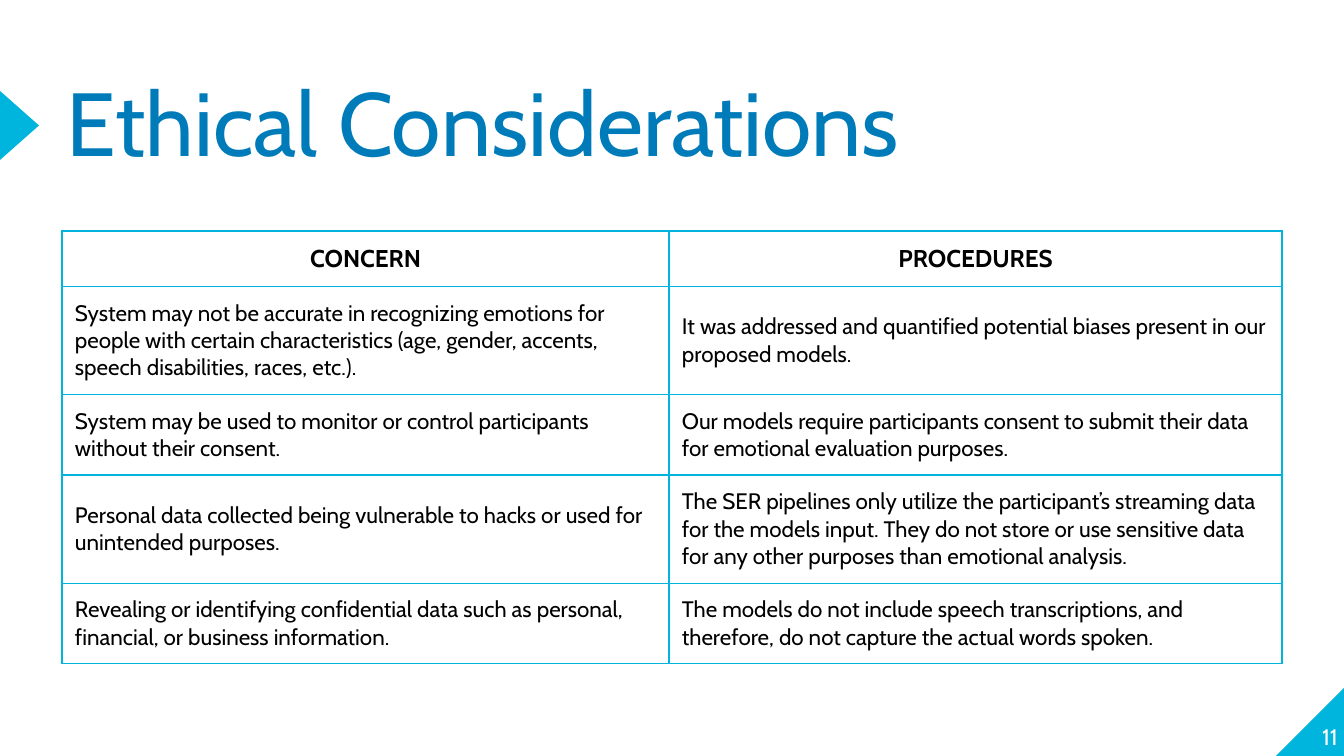
from typing import NamedTuple

from lxml.etree import SubElement
from pptx import Presentation
from pptx.dml.color import RGBColor
from pptx.enum.shapes import MSO_SHAPE
from pptx.enum.text import MSO_ANCHOR, MSO_AUTO_SIZE, PP_ALIGN
from pptx.oxml.ns import qn
from pptx.util import Emu, Pt

EMU_PER_PX = 9144000 / 1344
FONT = "Cabin"
COLORS = {"accent": "00B5DD", "title": "007BB9", "text": "000000", "page": "FFFFFF"}
CELL_MARGIN = 13
COLUMN_WIDTHS = (607, 613)
HEADER_HEIGHT = 55


class Box(NamedTuple):
    left: int
    top: int
    width: int
    height: int


class Concern(NamedTuple):
    concern: str
    procedure: str
    height: int


CONCERNS = [
    Concern(
        "System may not be accurate in recognizing emotions for people with certain "
        "characteristics (age, gender, accents, speech disabilities, races, etc.).",
        "It was addressed and quantified potential biases present in our proposed models.",
        105,
    ),
    Concern(
        "System may be used to monitor or control participants without their consent.",
        "Our models require participants consent to submit their data for emotional "
        "evaluation purposes.",
        79,
    ),
    Concern(
        "Personal data collected being vulnerable to hacks or used for unintended purposes.",
        "The SER pipelines only utilize the participant’s streaming data for the models "
        "input. They do not store or use sensitive data for any other purposes than "
        "emotional analysis.",
        105,
    ),
    Concern(
        "Revealing or identifying confidential data such as personal, financial, or "
        "business information.",
        "The models do not include speech transcriptions, and therefore, do not capture "
        "the actual words spoken.",
        79,
    ),
]


def px(length: int) -> Emu:
    return Emu(round(length * EMU_PER_PX))


def to_emu(box: Box) -> list[Emu]:
    return [px(length) for length in box]


def color(name: str) -> RGBColor:
    return RGBColor.from_string(COLORS[name])


def set_margins(frame, margin: int) -> None:
    """Apply one margin to all sides of a text frame or a table cell."""
    frame.margin_left = frame.margin_right = px(margin)
    frame.margin_top = frame.margin_bottom = px(margin)


def format_paragraph(paragraph, size: int, color_name: str, alignment=PP_ALIGN.LEFT,
                     bold: bool = False) -> None:
    paragraph.alignment = alignment
    font = paragraph.font
    font.name, font.size, font.bold = FONT, Pt(size), bold
    font.color.rgb = color(color_name)


def add_triangle(slide, kind: MSO_SHAPE, box: Box):
    shape = slide.shapes.add_shape(kind, *to_emu(box))
    shape.shadow.inherit = False
    shape.fill.solid()
    shape.fill.fore_color.rgb = color("accent")
    shape.line.fill.background()
    return shape


def add_borders(cell) -> None:
    properties = cell._tc.get_or_add_tcPr()
    for position, side in enumerate(("a:lnL", "a:lnR", "a:lnT", "a:lnB")):
        line = properties.makeelement(qn(side), {"w": str(Pt(0.75))})
        fill = SubElement(line, qn("a:solidFill"))
        SubElement(fill, qn("a:srgbClr"), val=COLORS["accent"])
        properties.insert(position, line)


def fill_cell(cell, text: str, is_header: bool) -> None:
    cell.text = text
    cell.vertical_anchor = MSO_ANCHOR.MIDDLE
    set_margins(cell, CELL_MARGIN)
    cell.fill.background()
    add_borders(cell)
    format_paragraph(
        cell.text_frame.paragraphs[0],
        13 if is_header else 12,
        "text",
        PP_ALIGN.CENTER if is_header else PP_ALIGN.LEFT,
        is_header,
    )


def add_concern_table(slide) -> None:
    rows = [Concern("CONCERN", "PROCEDURES", HEADER_HEIGHT), *CONCERNS]
    box = Box(62, 231, sum(COLUMN_WIDTHS), sum(row.height for row in rows))
    table = slide.shapes.add_table(len(rows), len(COLUMN_WIDTHS), *to_emu(box)).table
    table.first_row = table.horz_banding = False
    for column, width in zip(table.columns, COLUMN_WIDTHS):
        column.width = px(width)
    for row_index, row in enumerate(rows):
        table.rows[row_index].height = px(row.height)
        for column_index, text in enumerate((row.concern, row.procedure)):
            fill_cell(table.cell(row_index, column_index), text, row_index == 0)


def set_title(slide, text: str) -> None:
    title = slide.shapes.title
    title.left, title.top, title.width, title.height = to_emu(Box(67, 89, 1271, 84))
    frame = title.text_frame
    frame.text = text
    frame.auto_size = MSO_AUTO_SIZE.NONE
    frame.vertical_anchor = MSO_ANCHOR.MIDDLE
    set_margins(frame, 0)
    paragraph = frame.paragraphs[0]
    paragraph.line_spacing = 0.8
    format_paragraph(paragraph, 48, "title")


def add_page_number(slide, number: int) -> None:
    frame = slide.shapes.add_textbox(*to_emu(Box(1271, 681, 67, 69))).text_frame
    frame.text = str(number)
    frame.word_wrap = True
    frame.vertical_anchor = MSO_ANCHOR.BOTTOM
    set_margins(frame, 0)
    format_paragraph(frame.paragraphs[0], 12, "page", PP_ALIGN.RIGHT)


def main() -> None:
    presentation = Presentation()
    presentation.slide_width, presentation.slide_height = px(1344), px(756)
    slide = presentation.slides.add_slide(presentation.slide_layouts[5])
    slide.background.fill.solid()
    slide.background.fill.fore_color.rgb = color("page")

    corner = add_triangle(slide, MSO_SHAPE.RIGHT_TRIANGLE, Box(1276, 687, 69, 69))
    corner._element.spPr.find(qn("a:xfrm")).set("flipH", "1")
    pointer = add_triangle(slide, MSO_SHAPE.ISOSCELES_TRIANGLE, Box(-15, 106, 69, 39))
    pointer.rotation = 90

    set_title(slide, "Ethical Considerations")
    add_concern_table(slide)
    add_page_number(slide, 11)
    presentation.save("out.pptx")


if __name__ == "__main__":
    main()
